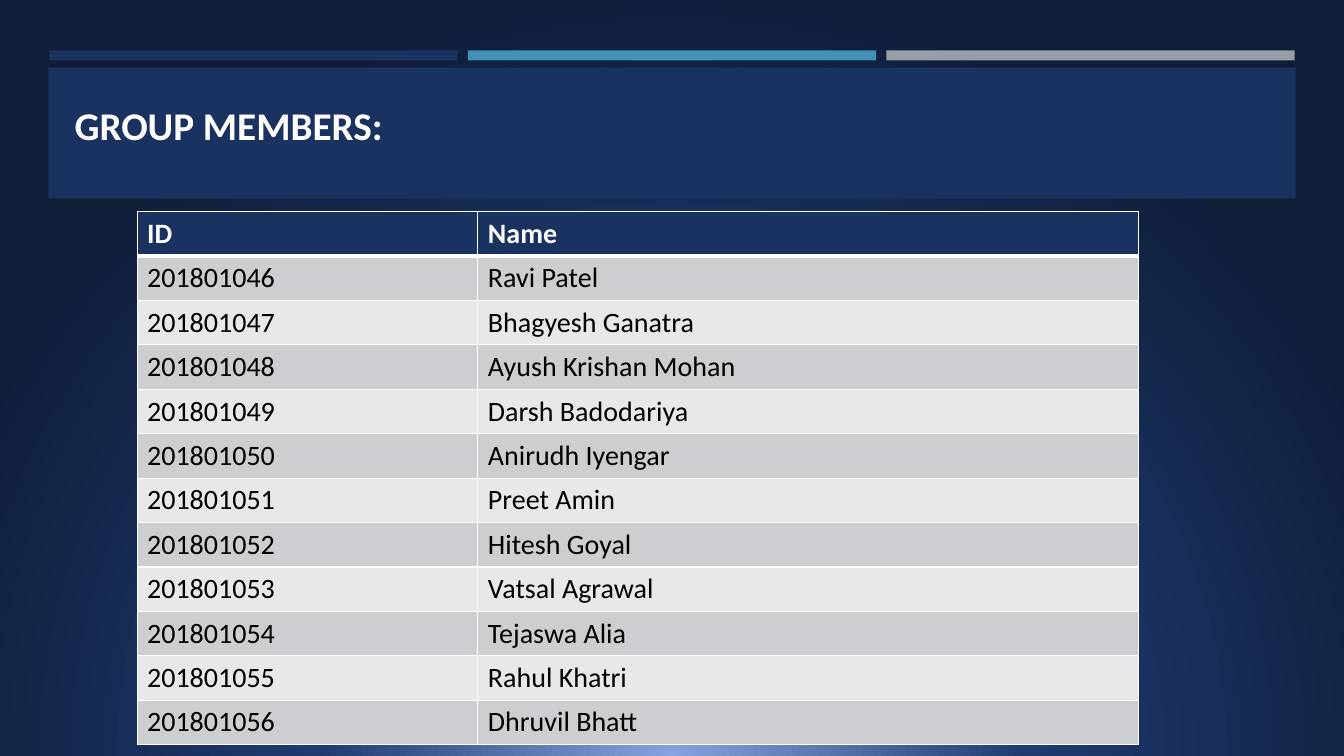
import pptx
import pptx.dml.color
import pptx.enum.shapes
import pptx.enum.text
import pptx.oxml
import pptx.util

Inches = pptx.util.Inches
Pt = pptx.util.Pt
RGBColor = pptx.dml.color.RGBColor

TITLE = "GROUP MEMBERS:"
HEADER = ("ID", "Name")
FIRST_ID = 201801046
MEMBERS = [
    "Ravi Patel", "Bhagyesh Ganatra", "Ayush Krishan Mohan", "Darsh Badodariya",
    "Anirudh Iyengar", "Preet Amin", "Hitesh Goyal", "Vatsal Agrawal",
    "Tejaswa Alia", "Rahul Khatri", "Dhruvil Bhatt",
]

FONT = "Calibri"
NAVY = RGBColor(0x1A, 0x32, 0x60)
TEAL = RGBColor(0x45, 0x90, 0xB8)
GRAY = RGBColor(0x96, 0x9F, 0xA7)
WHITE = RGBColor(0xFF, 0xFF, 0xFF)
BLACK = RGBColor(0x00, 0x00, 0x00)
BANDS = (RGBColor(0xE8, 0xE8, 0xEA), RGBColor(0xCD, 0xCE, 0xD2))
GLOW = [(0, RGBColor(0x85, 0xA3, 0xDE)), (46, RGBColor(0x1E, 0x3A, 0x6F)),
        (100, RGBColor(0x10, 0x1E, 0x3A))]

BAR_LEFT, BAR_STEP, BAR_WIDTH = 0.49, 4.15, 4.05
COLUMN_WIDTHS = (3.38, 6.55)
ROW_HEIGHT = 0.44
NS = ('xmlns:a="http://schemas.openxmlformats.org/drawingml/2006/main" '
      'xmlns:p="http://schemas.openxmlformats.org/presentationml/2006/main"')


def set_glow_background(s):
    stops = "".join(f'<a:gs pos="{pos * 1000}"><a:srgbClr val="{color}"/></a:gs>'
                    for pos, color in GLOW)
    bg = pptx.oxml.parse_xml(
        f'<p:bg {NS}><p:bgPr><a:gradFill rotWithShape="1"><a:gsLst>{stops}</a:gsLst>'
        '<a:path path="circle"><a:fillToRect l="50000" t="130000" r="50000" b="-30000"/>'
        '</a:path></a:gradFill><a:effectLst/></p:bgPr></p:bg>')
    s._element.cSld.insert(0, bg)


def add_block(s, left, top, width, height, color):
    sp = s.shapes.add_shape(pptx.enum.shapes.MSO_SHAPE.RECTANGLE, Inches(left),
                            Inches(top), Inches(width), Inches(height))
    sp.shadow.inherit = False
    sp.fill.solid()
    sp.fill.fore_color.rgb = color
    sp.line.fill.background()


def format_text(p, size, color, bold):
    p.font.name = FONT
    p.font.size = Pt(size)
    p.font.color.rgb = color
    p.font.bold = bold


def set_borders(cell, top, bottom):
    """Give the cell white borders; top and bottom are widths in points."""
    sides = (("L", 1), ("R", 1), ("T", top), ("B", bottom))
    for i, (side, width) in enumerate(sides):
        line = pptx.oxml.parse_xml(
            f'<a:ln{side} {NS} w="{Pt(width)}"><a:solidFill><a:srgbClr val="{WHITE}"/>'
            f'</a:solidFill></a:ln{side}>')
        cell._tc.get_or_add_tcPr().insert(i, line)


def add_member_table(s):
    rows = [HEADER] + [(str(FIRST_ID + i), name) for i, name in enumerate(MEMBERS)]
    table = s.shapes.add_table(
        len(rows), len(HEADER), Inches(1.36), Inches(2.1),
        Inches(sum(COLUMN_WIDTHS)), Inches(ROW_HEIGHT * len(rows))).table
    for column, width in zip(table.columns, COLUMN_WIDTHS):
        column.width = Inches(width)
    for i, row in enumerate(rows):
        is_header = i == 0
        for j, text in enumerate(row):
            cell = table.cell(i, j)
            cell.text = text
            format_text(cell.text_frame.paragraphs[0], 20,
                        WHITE if is_header else BLACK, is_header)
            cell.fill.solid()
            cell.fill.fore_color.rgb = NAVY if is_header else BANDS[i % 2]
            set_borders(cell, 3 if i == 1 else 1, 3 if is_header else 1)


def main():
    prs = pptx.Presentation()
    prs.slide_width, prs.slide_height = Inches(13.33), Inches(7.5)
    s = prs.slides.add_slide(prs.slide_layouts[5])
    set_glow_background(s)

    for i, color in enumerate((NAVY, TEAL, GRAY)):
        add_block(s, BAR_LEFT + i * BAR_STEP, 0.5, BAR_WIDTH, 0.1, color)
    add_block(s, 0.48, 0.67, 12.37, 1.3, NAVY)

    title = s.shapes.title
    title.left, title.top = Inches(0.64), Inches(0.77)
    title.width, title.height = Inches(12.06), Inches(0.75)
    tf = title.text_frame
    tf.text = TITLE
    tf.vertical_anchor = pptx.enum.text.MSO_ANCHOR.BOTTOM
    p = tf.paragraphs[0]
    p.alignment = pptx.enum.text.PP_ALIGN.LEFT
    format_text(p, 28, WHITE, True)
    s.shapes._spTree.append(title._element)  # bring in front of the navy panel

    add_member_table(s)
    prs.save("out.pptx")


if __name__ == "__main__":
    main()
